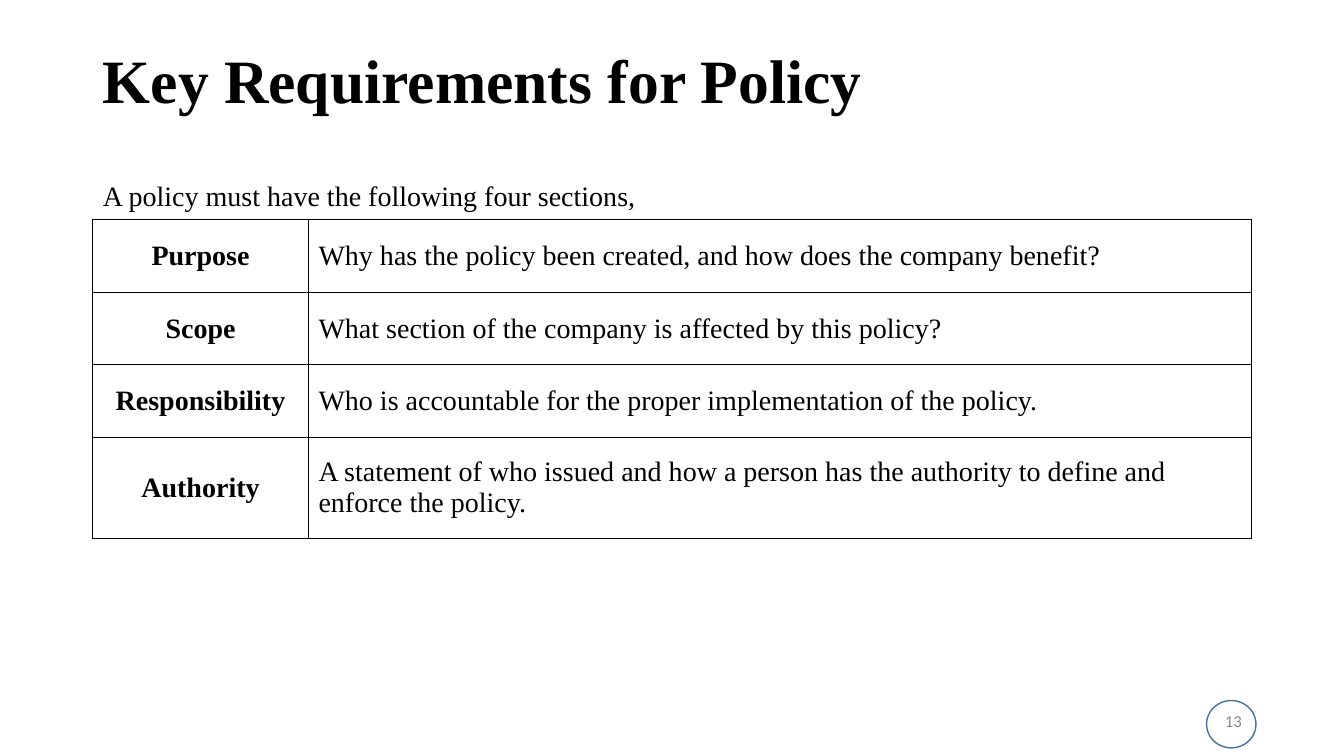
"""Build the slide on key requirements for a policy."""
from lxml import etree
from pptx import Presentation
from pptx.dml.color import RGBColor
from pptx.enum import shapes, text
from pptx.oxml import ns
from pptx.util import Pt

TITLE = "Key Requirements for Policy"
INTRO = "A policy must have the following four sections,"
PAGE = "13"
ROWS = [
    ("Purpose", "Why has the policy been created, and how does the company benefit?", 51.84),
    ("Scope", "What section of the company is affected by this policy?", 51.84),
    ("Responsibility", "Who is accountable for the proper implementation of the policy.", 51.84),
    ("Authority", "A statement of who issued and how a person has the authority "
                  "to define and enforce the policy.", 72),
]
COLS = (154.08, 673.92)
LEFT, WIDE = 66.24, sum(COLS)
SERIF, BLACK = "Times New Roman", "000000"
ALIGN, MID = text.PP_ALIGN, text.MSO_ANCHOR.MIDDLE


def tint(code):
    return RGBColor.from_string(code)


def place(shape, left, top, width, height):
    shape.left, shape.top = Pt(left), Pt(top)
    shape.width, shape.height = Pt(width), Pt(height)


def write(frame, words, size, bold=False, align=ALIGN.LEFT, face=SERIF, color=BLACK):
    para = frame.paragraphs[0]
    para.alignment = align
    run = para.add_run()
    run.text = words
    font = run.font
    font.name, font.size, font.bold = face, Pt(size), bold
    font.color.rgb = tint(color)
    return para


def border(cell):
    props = cell._tc.get_or_add_tcPr()
    for spot, side in enumerate(("lnL", "lnR", "lnT", "lnB")):
        line = etree.Element(ns.qn("a:" + side), w=str(Pt(1)))
        fill = etree.SubElement(line, ns.qn("a:solidFill"))
        etree.SubElement(fill, ns.qn("a:srgbClr"), val=BLACK)
        props.insert(spot, line)


def main():
    deck = Presentation()
    deck.slide_width, deck.slide_height = Pt(960), Pt(540)
    slide = deck.slides.add_slide(deck.slide_layouts[1])
    items = slide.shapes

    ring = items.add_shape(shapes.MSO_SHAPE.OVAL, Pt(861.84), Pt(500.4), Pt(35.28), Pt(33.84))
    ring.shadow.inherit = False
    ring.fill.background()
    ring.line.color.rgb = tint("43739E")
    ring.line.width = Pt(1)

    title = items.title
    place(title, LEFT, 7.2, WIDE, 104.4)
    title.text_frame.auto_size = text.MSO_AUTO_SIZE.NONE
    title.text_frame.vertical_anchor = MID
    write(title.text_frame, TITLE, 44, True).line_spacing = 0.9

    body = slide.placeholders[1]
    place(body, LEFT, 111.6, WIDE, 380.16)
    body.text_frame.auto_size = text.MSO_AUTO_SIZE.NONE
    para = write(body.text_frame, INTRO, 20)
    para.line_spacing, para.space_before, para.space_after = 1.5, Pt(7.5), Pt(8)
    props = para._p.get_or_add_pPr()
    props.set("marL", "0")
    props.set("indent", "0")
    etree.SubElement(props, ns.qn("a:buNone"))

    page = items.add_textbox(Pt(678.24), Pt(500.4), Pt(216), Pt(28.8)).text_frame
    page.word_wrap = True
    page.vertical_anchor = MID
    write(page, PAGE, 12, align=ALIGN.RIGHT, face="Calibri", color="898989")

    high = sum(row[2] for row in ROWS)
    table = items.add_table(len(ROWS), len(COLS), Pt(LEFT), Pt(156.96), Pt(WIDE), Pt(high)).table
    table.first_row = table.horz_banding = False
    for col, width in zip(table.columns, COLS):
        col.width = Pt(width)
    for row, (name, note, height) in zip(table.rows, ROWS):
        row.height = Pt(height)
        for cell, words, head in zip(row.cells, (name, note), (True, False)):
            cell.fill.background()
            cell.vertical_anchor = MID
            border(cell)
            write(cell.text_frame, words, 20, head, ALIGN.CENTER if head else ALIGN.LEFT)

    deck.save("out.pptx")


if __name__ == "__main__":
    main()
